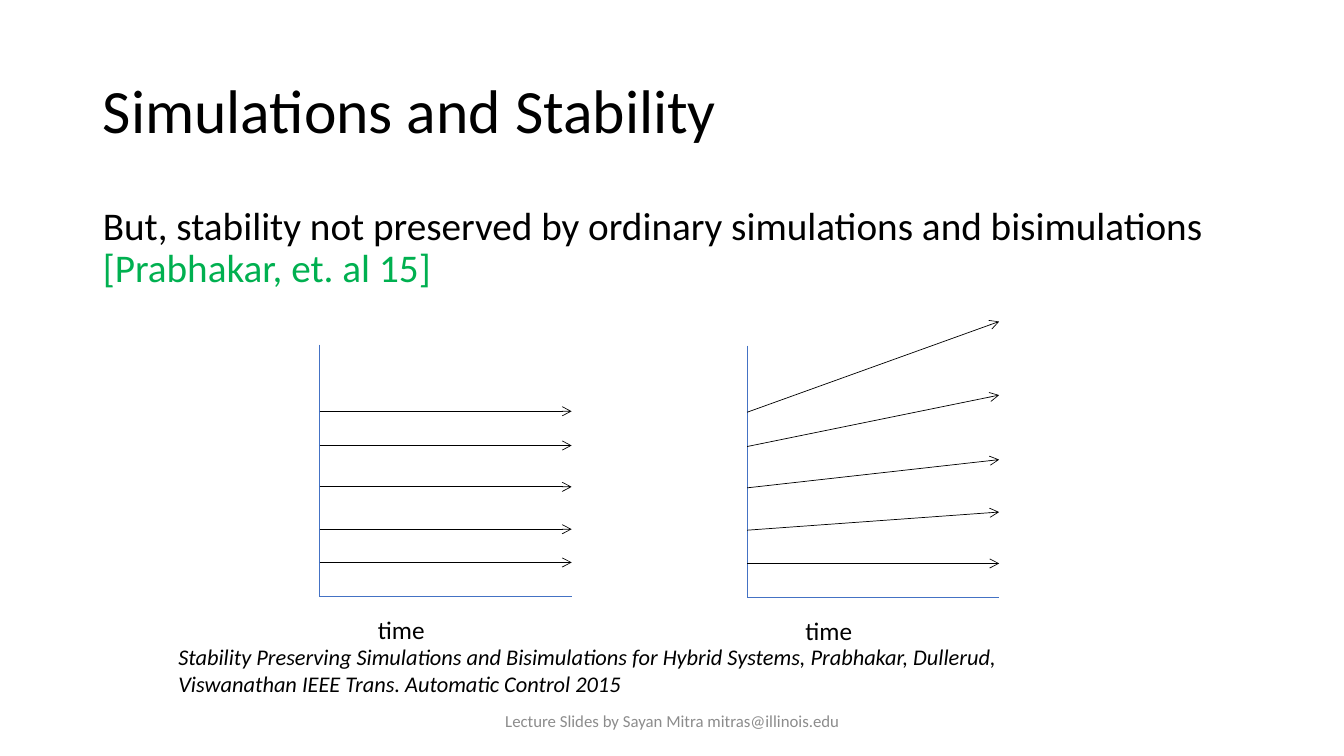
from lxml.etree import SubElement
from pptx import Presentation
from pptx.dml.color import RGBColor
from pptx.enum.shapes import MSO_CONNECTOR
from pptx.enum.text import MSO_ANCHOR, MSO_AUTO_SIZE, PP_ALIGN
from pptx.oxml.ns import qn
from pptx.util import Inches, Pt

BLACK = RGBColor(0x00, 0x00, 0x00)
GREEN = RGBColor(0x00, 0xB0, 0x50)
GREY = RGBColor(0x8C, 0x8C, 0x8C)
BLUE = RGBColor(0x44, 0x72, 0xC4)

SIDE = 2.5  # length of both axes of a plot
START_HEIGHTS = (0.34, 0.67, 1.09, 1.5, 1.84)
PLOTS = (  # left, foot, rise of each trajectory
    (3.17, 5.92, (0, 0, 0, 0, 0)),
    (7.41, 5.93, (0, 0.18, 0.28, 0.51, 0.9)),
)

deck = Presentation()
deck.slide_width, deck.slide_height = Inches(13.33), Inches(7.5)
page = deck.slides.add_slide(deck.slide_layouts[1])


def fill_text(box, place, spans, size, anchor=MSO_ANCHOR.TOP, wrap=True):
    """Place a box, write its (text, colour) spans and return the paragraph."""
    box.left, box.top, box.width, box.height = map(Inches, place)
    frame = box.text_frame
    frame.auto_size = MSO_AUTO_SIZE.NONE
    frame.word_wrap = wrap
    frame.vertical_anchor = anchor
    para = frame.paragraphs[0]
    for text, colour in spans:
        span = para.add_run()
        span.text = text
        span.font.color.rgb = colour
    para.alignment = PP_ALIGN.LEFT
    para.font.name = "Calibri"
    para.font.size = Pt(size)
    return para


def draw_line(start, end, colour, arrow=False):
    line = page.shapes.add_connector(
        MSO_CONNECTOR.STRAIGHT, *map(Inches, start + end))
    line.line.color.rgb = colour
    line.line.width = Pt(0.5)
    if arrow:
        SubElement(line.line._get_or_add_ln(), qn("a:tailEnd"), type="arrow")
    SubElement(line._element.spPr, qn("a:effectLst"))


title = fill_text(page.shapes.title, (0.92, 0.4, 11.5, 1.45),
                  [("Simulations and Stability", BLACK)], 44, MSO_ANCHOR.MIDDLE)
title.line_spacing = 0.9

body = page.placeholders[1]
properties = body.text_frame.paragraphs[0]._p.get_or_add_pPr()
properties.set("marL", "0")
properties.set("indent", "0")
SubElement(properties, qn("a:buNone"))
claim = fill_text(body, (0.92, 2, 11.5, 4.76), [
    ("But, stability not preserved by ordinary simulations and bisimulations ", BLACK),
    ("[Prabhakar, et. al 15]", GREEN),
], 28)
claim.line_spacing = 0.9
claim.space_before = Pt(0)

for left, foot, rises in PLOTS:
    right = left + SIDE
    draw_line((left, foot - SIDE), (left, foot), BLUE)
    draw_line((left, foot), (right, foot), BLUE)
    for height, rise in zip(START_HEIGHTS, rises):
        begin = foot - height
        draw_line((left, begin), (right, begin - rise), BLACK, arrow=True)
    fill_text(page.shapes.add_textbox(0, 0, 0, 0),
              (left + 0.48, foot + 0.13, 0.67, 0.4),
              [("time", BLACK)], 18, wrap=False)

citation = fill_text(page.shapes.add_textbox(0, 0, 0, 0), (1.67, 6.33, 9.51, 0.64), [(
    "Stability Preserving Simulations and Bisimulations for Hybrid Systems, "
    "Prabhakar, Dullerud, Viswanathan IEEE Trans. Automatic Control 2015", BLACK)], 16)
citation.font.italic = True

footer = fill_text(page.shapes.add_textbox(0, 0, 0, 0), (4.42, 6.95, 4.5, 0.4),
                   [("Lecture Slides by Sayan Mitra mitras@illinois.edu", GREY)],
                   12, MSO_ANCHOR.MIDDLE)
footer.alignment = PP_ALIGN.CENTER

deck.save("out.pptx")
